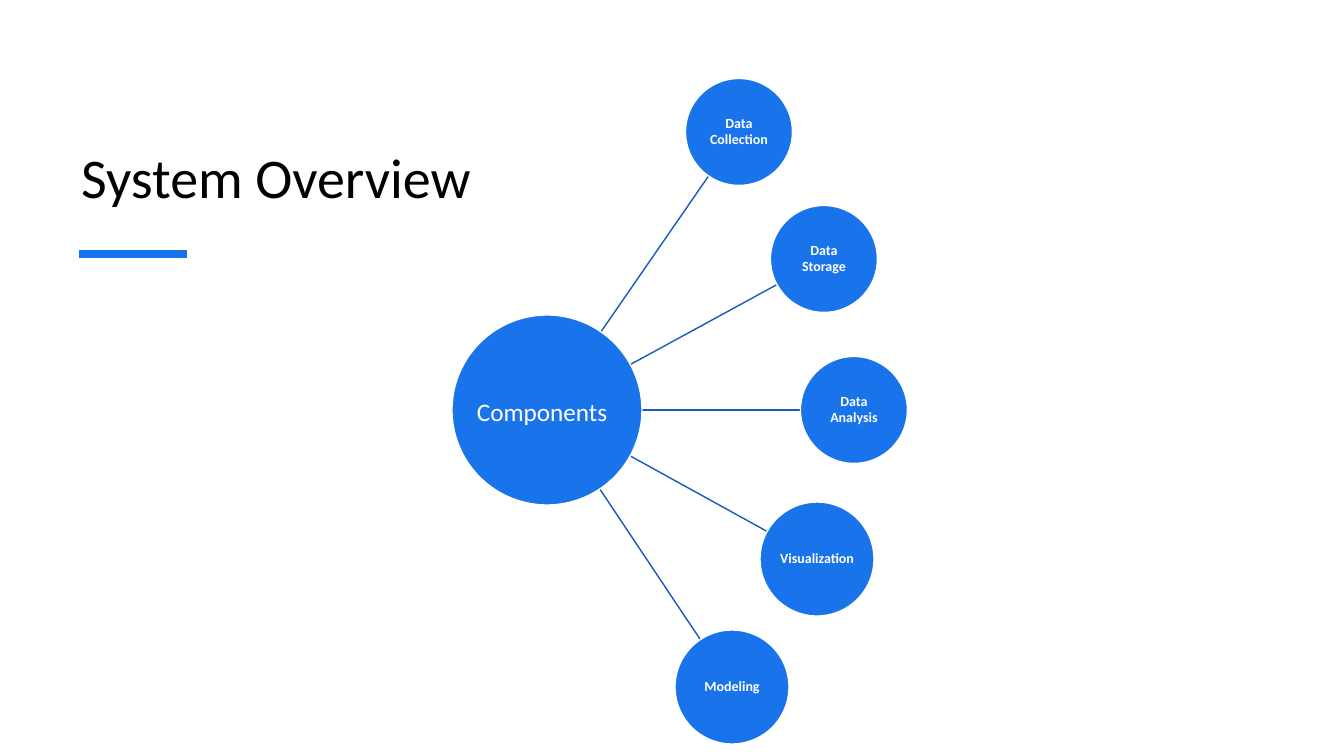
from math import hypot

from lxml.etree import SubElement
from pptx import Presentation
from pptx.dml.color import RGBColor
from pptx.enum.shapes import MSO_CONNECTOR, MSO_SHAPE
from pptx.enum.text import MSO_ANCHOR, MSO_AUTO_SIZE, PP_ALIGN
from pptx.oxml.ns import qn
from pptx.util import Emu, Pt

TITLE = "System Overview"
TITLE_BOX = (71, 62, 1200, 154)
ACCENT_BAR = ((79, 254), (187, 254))

HUB_LABEL = "Components"
HUB_LABEL_BOX = (467, 391, 177, 40)
HUB = (547, 410, 190)  # centre x, centre y, diameter
COMPONENTS = [
    ("Data Collection", (739, 132, 107)),
    ("Data Storage", (824, 259, 107)),
    ("Data Analysis", (854, 410, 107)),
    ("Visualization", (817, 559, 114)),
    ("Modeling", (732, 687, 114)),
]

FONT = "Calibri"
BLUE, DARK_BLUE, WHITE, BLACK = "1973EB", "145CBC", "FFFFFF", "000000"
PAGE_SIZE = (1344, 756)
EMU_PER_PX = 914400 / 100.8


def px(length):
    return Emu(round(length * EMU_PER_PX))


def color(hex_code):
    return RGBColor.from_string(hex_code)


def add_span(para, text, size, hex_code, bold=False):
    span = para.add_run()
    span.text = text
    span.font.name = FONT
    span.font.size = Pt(size)
    span.font.bold = bold
    span.font.color.rgb = color(hex_code)


def add_title(page):
    title = page.shapes.title
    title.left, title.top, title.width, title.height = map(px, TITLE_BOX)
    frame = title.text_frame
    frame.auto_size = MSO_AUTO_SIZE.NONE
    frame.vertical_anchor = MSO_ANCHOR.BOTTOM
    para = frame.paragraphs[0]
    para.alignment = PP_ALIGN.LEFT
    para.line_spacing = 0.9
    add_span(para, TITLE, 40, BLACK)


def add_line(page, start, end, hex_code, width):
    line = page.shapes.add_connector(
        MSO_CONNECTOR.STRAIGHT, *map(px, (*start, *end)))
    line.line.color.rgb = color(hex_code)
    line.line.width = Pt(width)
    SubElement(line.element.spPr, qn("a:effectLst"))


def edge_point(circle, other):
    """Return where the line between two centres leaves the first circle."""
    x, y, diameter = circle
    dx, dy = other[0] - x, other[1] - y
    ratio = diameter / 2 / hypot(dx, dy)
    return x + dx * ratio, y + dy * ratio


def add_circle(page, circle):
    x, y, diameter = circle
    shape = page.shapes.add_shape(
        MSO_SHAPE.OVAL, px(x - diameter / 2), px(y - diameter / 2),
        px(diameter), px(diameter))
    shape.shadow.inherit = False
    shape.fill.solid()
    shape.fill.fore_color.rgb = color(BLUE)
    shape.line.color.rgb = color(WHITE)
    shape.line.width = Pt(1)
    return shape


def add_component(page, label, circle):
    frame = add_circle(page, circle).text_frame
    frame.word_wrap = True
    frame.vertical_anchor = MSO_ANCHOR.MIDDLE
    frame.margin_left = frame.margin_right = px(1)
    frame.margin_top = frame.margin_bottom = px(1)
    para = frame.paragraphs[0]
    para.alignment = PP_ALIGN.CENTER
    para.line_spacing = 0.9
    add_span(para, label, 10, WHITE, bold=True)


def add_hub(page):
    add_circle(page, HUB)
    box = page.shapes.add_textbox(*map(px, HUB_LABEL_BOX))
    box.text_frame.word_wrap = True
    add_span(box.text_frame.paragraphs[0], HUB_LABEL, 18, WHITE)


def main():
    deck = Presentation()
    deck.slide_width, deck.slide_height = map(px, PAGE_SIZE)
    page = deck.slides.add_slide(deck.slide_layouts[5])
    add_title(page)
    add_line(page, *ACCENT_BAR, BLUE, 6)
    for _, circle in COMPONENTS:
        add_line(page, edge_point(HUB, circle), edge_point(circle, HUB),
                 DARK_BLUE, 1)
    add_hub(page)
    for label, circle in COMPONENTS:
        add_component(page, label, circle)
    deck.save("out.pptx")


if __name__ == "__main__":
    main()
